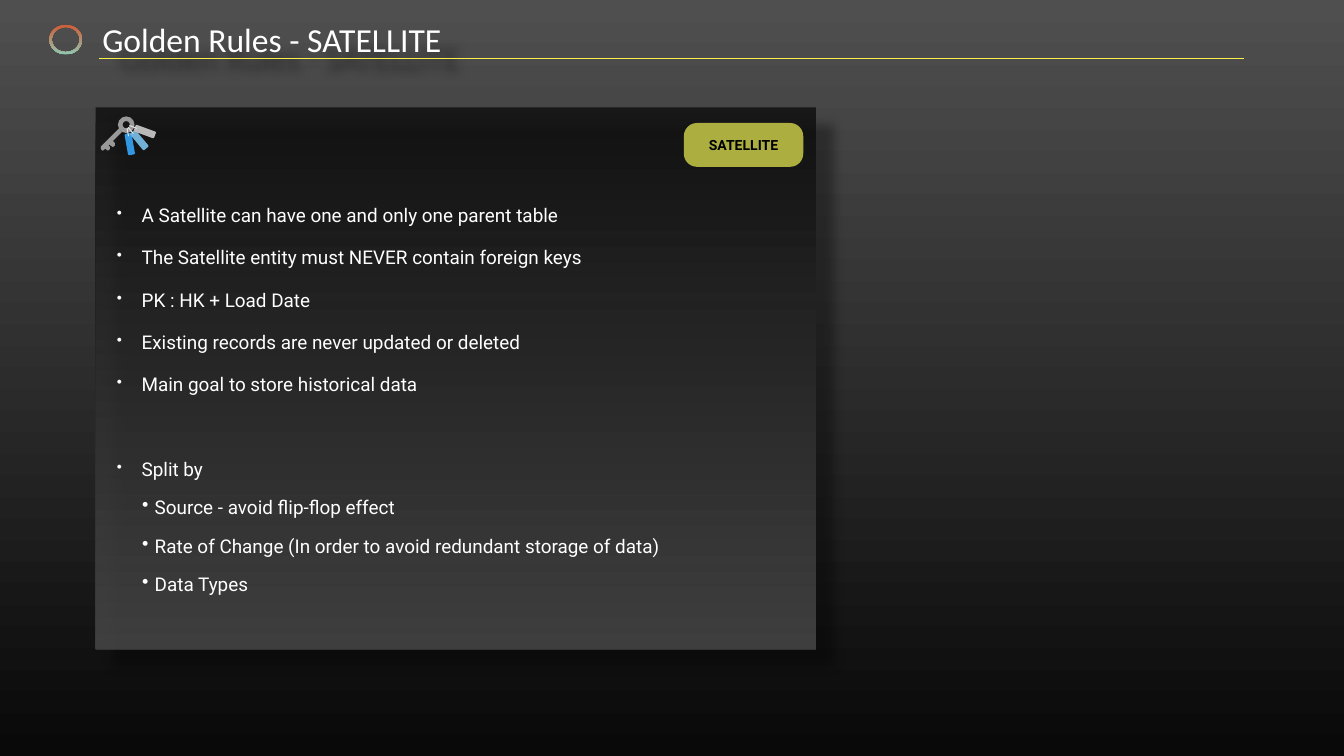
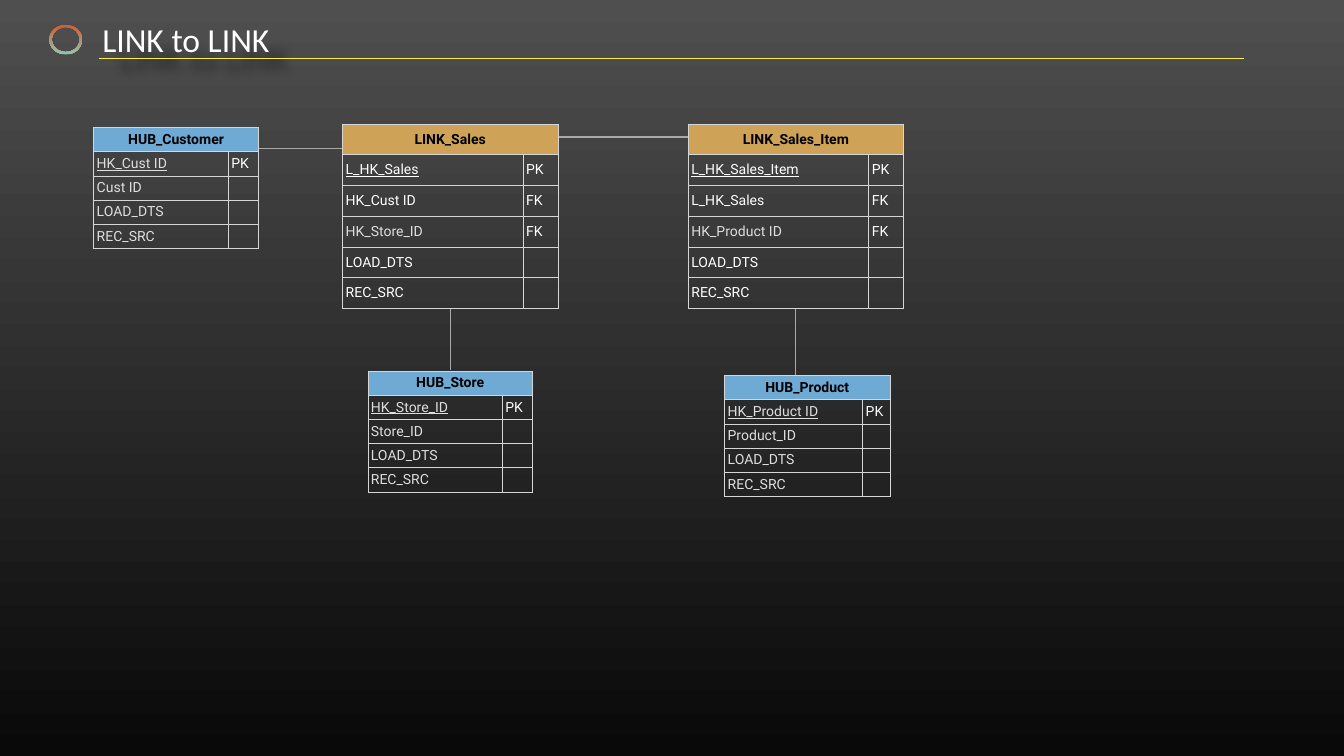
from lxml.etree import SubElement
from pptx import Presentation
from pptx.dml.color import RGBColor
from pptx.enum.shapes import MSO_CONNECTOR, MSO_SHAPE
from pptx.enum.text import MSO_ANCHOR, MSO_AUTO_SIZE, PP_ALIGN
from pptx.oxml import parse_xml
from pptx.oxml.ns import nsdecls, qn
from pptx.util import Inches, Pt

WHITE = RGBColor(0xFF, 0xFF, 0xFF)
BLACK = RGBColor(0x00, 0x00, 0x00)
SMOKE = RGBColor(0x4F, 0x4F, 0x4F)
COAL = RGBColor(0x09, 0x09, 0x09)
YELLOW = RGBColor(0xF8, 0xEF, 0x4A)
OLIVE = RGBColor(0xAC, 0xAE, 0x40)
HUB_BLUE = RGBColor(0x6E, 0xAA, 0xD4)
LINK_GOLD = RGBColor(0xCE, 0xA3, 0x58)
MUTED = RGBColor(0xDC, 0xDE, 0xE0)
BORDER = RGBColor(0xD6, 0xD6, 0xD6)
WIRE = RGBColor(0xA6, 0xAA, 0xA8)
STEEL = RGBColor(0x99, 0x99, 0x99)
STRING = RGBColor(0xE5, 0xE5, 0xE5)
LOGO_TOP = RGBColor(0xCF, 0x5C, 0x37)
LOGO_BOTTOM = RGBColor(0x8F, 0xC5, 0xAE)

RULES_TITLE = "Golden Rules - SATELLITE"
RULES_BADGE = "SATELLITE"
# text, level, space before in points
RULES = [
    ("A Satellite can have one and only one parent table", 0, 0),
    ("The Satellite entity must NEVER contain foreign keys", 0, 28),
    ("PK : HK + Load Date", 0, 28),
    ("Existing records are never updated or deleted", 0, 28),
    ("Main goal to store historical data", 0, 28),
    ("Split by", 0, 88),
    ("Source - avoid flip-flop effect", 1, 26),
    ("Rate of Change (In order to avoid redundant storage of data)", 1, 26),
    ("Data Types", 1, 26),
]
# left indent, hanging indent, bullet size in percent, line spacing
LEVELS = [(0.49, -0.49, 80, 1.0), (0.75, -0.25, 100, 0.9)]

KEY_SHAFT = [
    (2.36, 2.55), (2, 2.91), (2, 2.96), (2.04, 2.99), (2.09, 2.95),
    (2.14, 2.99), (2.18, 2.96), (2.18, 2.91), (2.15, 2.88), (2.17, 2.87),
    (2.24, 2.92), (2.28, 2.89), (2.28, 2.84), (2.24, 2.8), (2.42, 2.62),
]
# rotation, tag place, hole place, string place, tag colour, hole colour
KEY_TAGS = [
    (80, (2.36, 2.79), (2.53, 2.67), (2.45, 2.61),
     RGBColor(0x31, 0x97, 0xE0), RGBColor(0x34, 0x84, 0xC9)),
    (50, (2.55, 2.71), (2.63, 2.63), (2.51, 2.58),
     RGBColor(0x72, 0xB1, 0xD7), RGBColor(0x64, 0x9A, 0xBC)),
    (20, (2.66, 2.54), (2.7, 2.53), (2.56, 2.51),
     RGBColor(0xB9, 0xB9, 0xB9), STEEL),
]

MODEL_TITLE = "LINK to LINK"
LINK_TAIL = [("LOAD_DTS", "", WHITE), ("REC_SRC", "", WHITE)]


def hub_rows(key, business_key):
    return [(key, "PK", MUTED)] + [
        (name, "", MUTED) for name in (business_key, "LOAD_DTS", "REC_SRC")]


HUB = dict(fill=HUB_BLUE, row_height=0.48, widths=(2.67, 0.6))
LINK = dict(fill=LINK_GOLD, row_height=0.61, widths=(3.58, 0.69))
ENTITIES = [
    dict(HUB, name="HUB_Customer", at=(1.86, 2.53),
         rows=hub_rows("HK_Cust ID", "Cust ID")),
    dict(HUB, name="HUB_Store", at=(7.3, 7.36),
         rows=hub_rows("HK_Store_ID", "Store_ID")),
    dict(LINK, name="LINK_Sales", at=(6.8, 2.46),
         rows=[("L_HK_Sales", "PK", WHITE), ("HK_Cust ID", "FK", WHITE),
               ("HK_Store_ID", "FK", MUTED)] + LINK_TAIL),
    dict(HUB, name="HUB_Product", at=(14.38, 7.45), widths=(2.74, 0.54),
         rows=hub_rows("HK_Product ID", "Product_ID")),
    dict(LINK, name="LINK_Sales_Item", at=(13.66, 2.46),
         rows=[("L_HK_Sales_Item", "PK", WHITE), ("L_HK_Sales", "FK", WHITE),
               ("HK_Product ID", "FK", MUTED)] + LINK_TAIL),
]
RELATIONS = [
    (5.1, 2.95, 6.82, 2.95),
    (8.94, 6.13, 8.94, 7.35),
    (15.79, 7.64, 15.79, 6.12),
    (13.71, 2.72, 11.02, 2.72),
]


def add_run(p, text, color, size, name="Roboto", **extra):
    r = p.add_run()
    r.text = text
    r.font.color.rgb = color
    for key, value in dict(extra, size=Pt(size), name=name).items():
        setattr(r.font, key, value)


def format_frame(tf, margin):
    tf.word_wrap = True
    tf.auto_size = MSO_AUTO_SIZE.NONE
    tf.vertical_anchor = MSO_ANCHOR.MIDDLE
    for side in ("left", "top", "right", "bottom"):
        setattr(tf, "margin_" + side, Inches(margin))


def place(sp, *box):
    for key, value in zip(("left", "top", "width", "height"), box):
        setattr(sp, key, Inches(value))


def set_gradient(fill, top, bottom):
    """Vertical blend from top to bottom."""
    fill.gradient()
    fill.gradient_angle = 270
    for stop, color, position in zip(fill.gradient_stops, (top, bottom), (0, 1)):
        stop.color.rgb = color
        stop.position = position


def add_shadow(sp):
    """Soft shadow, 36 pt down and to the right."""
    sp._element.spPr.append(parse_xml(
        f'<a:effectLst {nsdecls("a")}><a:outerShdw blurRad="{Pt(15)}" '
        f'dist="{Pt(36)}" dir="2700000" algn="ctr" rotWithShape="0">'
        '<a:srgbClr val="010101"><a:alpha val="46000"/></a:srgbClr>'
        '</a:outerShdw></a:effectLst>'))


def paint(sp, color=None):
    """Plain look: no line, no theme shadow, an optional solid fill."""
    sp.line.fill.background()
    if color is not None:
        sp.fill.solid()
        sp.fill.fore_color.rgb = color
        sp.shadow.inherit = False
    return sp


def add_preset(slide, kind, box, color=None, adj=None, rotation=0):
    sp = slide.shapes.add_shape(kind, *map(Inches, box))
    if adj is not None:
        sp.adjustments[0] = adj
    sp.rotation = rotation
    return paint(sp, color)


def add_line(slide, ends, color, width):
    line = slide.shapes.add_connector(MSO_CONNECTOR.STRAIGHT, *map(Inches, ends))
    line.line.color.rgb = color
    line.line.width = Pt(width)
    SubElement(line._element.spPr, qn("a:effectLst"))


def add_titled_slide(prs, title):
    slide = prs.slides.add_slide(prs.slide_layouts[5])
    set_gradient(slide.background.fill, SMOKE, COAL)
    sp = slide.shapes.title
    place(sp, 1.95, 0.39, 10.57, 0.77)
    add_shadow(sp)
    format_frame(sp.text_frame, 0.08)
    p = sp.text_frame.paragraphs[0]
    p.alignment = PP_ALIGN.LEFT
    add_run(p, title, WHITE, 48, "Calibri")
    add_line(slide, (1.97, 1.15, 24.69, 1.15), YELLOW, 1)
    mark = add_preset(slide, MSO_SHAPE.DONUT, (0.98, 0.49, 0.65, 0.59), adj=0.08)
    set_gradient(mark.fill, LOGO_TOP, LOGO_BOTTOM)
    mark.shadow.inherit = False
    return slide


def add_card(slide):
    card = add_preset(slide, MSO_SHAPE.RECTANGLE, (1.9, 2.13, 14.29, 10.75))
    set_gradient(card.fill, COAL, SMOKE)
    for color in card._element.spPr.iter(qn("a:srgbClr")):
        SubElement(color, qn("a:alpha"), val="75000")
    add_shadow(card)


def add_key_ring(slide):
    x, y = KEY_SHAFT[0]
    builder = slide.shapes.build_freeform(Inches(x), Inches(y))
    builder.add_line_segments([(Inches(x), Inches(y)) for x, y in KEY_SHAFT[1:]])
    paint(builder.convert_to_shape(), STEEL)
    add_preset(slide, MSO_SHAPE.DONUT, (2.34, 2.31, 0.33, 0.33), STEEL, 0.28)
    for rotation, tag, hole, string, tag_color, hole_color in KEY_TAGS:
        for kind, box, color, adj in (
                (MSO_SHAPE.ROUNDED_RECTANGLE, (*tag, 0.43, 0.14), tag_color, 0.19),
                (MSO_SHAPE.OVAL, (*hole, 0.03, 0.03), hole_color, None),
                (MSO_SHAPE.ROUNDED_RECTANGLE, (*string, 0.17, 0.02), STRING, 0.5)):
            add_preset(slide, kind, box, color, adj, rotation)


def add_bullet(p, level):
    left, hanging, size, spacing = LEVELS[level]
    p.level = level
    p.line_spacing = spacing
    pPr = p._p.get_or_add_pPr()
    pPr.set("marL", str(Inches(left)))
    pPr.set("indent", str(Inches(hanging)))
    color = SubElement(pPr, qn("a:buClr"))
    SubElement(color, qn("a:srgbClr"), val=str(WHITE))
    SubElement(pPr, qn("a:buSzPct"), val=str(size * 1000))
    SubElement(pPr, qn("a:buChar"), char="•")


def add_rules(slide):
    box = slide.shapes.add_textbox(*map(Inches, (2.24, 3.57, 12.3, 8.72)))
    tf = box.text_frame
    format_frame(tf, 0.08)
    for i, (text, level, before) in enumerate(RULES):
        p = tf.add_paragraph() if i else tf.paragraphs[0]
        p.space_before = Pt(before)
        add_bullet(p, level)
        add_run(p, text, WHITE, 27)


def add_badge(slide):
    sp = add_preset(slide, MSO_SHAPE.ROUNDED_RECTANGLE,
                    (13.57, 2.44, 2.37, 0.87), OLIVE, 0.3)
    format_frame(sp.text_frame, 0.06)
    p = sp.text_frame.paragraphs[0]
    p.alignment = PP_ALIGN.CENTER
    add_run(p, RULES_BADGE, BLACK, 20, bold=True)


def format_cell(cell, fill=None):
    cell.vertical_anchor = MSO_ANCHOR.MIDDLE
    for side in ("left", "top", "right", "bottom"):
        setattr(cell, "margin_" + side, Inches(0.06))
    if fill is None:
        cell.fill.background()
    else:
        cell.fill.solid()
        cell.fill.fore_color.rgb = fill
    tcPr = cell._tc.get_or_add_tcPr()
    for i, side in enumerate("LRTB"):
        tcPr.insert(i, parse_xml(
            f'<a:ln{side} {nsdecls("a")} w="{Pt(1)}"><a:solidFill>'
            f'<a:srgbClr val="{BORDER}"/></a:solidFill></a:ln{side}>'))


def add_entity(slide, name, at, rows, fill, row_height, widths):
    count = len(rows) + 1
    box = (*at, sum(widths), count * row_height)
    table = slide.shapes.add_table(count, 2, *map(Inches, box)).table
    table.first_row = table.horz_banding = False
    for column, width in zip(table.columns, widths):
        column.width = Inches(width)
    for i, row in enumerate(table.rows):
        row.height = Inches(row_height)
        for cell in row.cells:
            format_cell(cell, None if i else fill)
    header = table.cell(0, 0)
    header.merge(table.cell(0, 1))
    p = header.text_frame.paragraphs[0]
    p.alignment = PP_ALIGN.CENTER
    add_run(p, name, BLACK, 20, bold=True)
    for i, (field, role, color) in enumerate(rows, 1):
        p = table.cell(i, 0).text_frame.paragraphs[0]
        add_run(p, field, color, 20, underline=role == "PK")
        if role:
            add_run(table.cell(i, 1).text_frame.paragraphs[0], role, WHITE, 20)


def main():
    prs = Presentation()
    prs.slide_width, prs.slide_height = Inches(26.67), Inches(15)

    rules = add_titled_slide(prs, RULES_TITLE)
    for add_part in (add_card, add_key_ring, add_rules, add_badge):
        add_part(rules)

    model = add_titled_slide(prs, MODEL_TITLE)
    for ends in RELATIONS:
        add_line(model, ends, WIRE, 2)
    for entity in ENTITIES:
        add_entity(model, **entity)

    prs.save("out.pptx")


if __name__ == "__main__":
    main()
